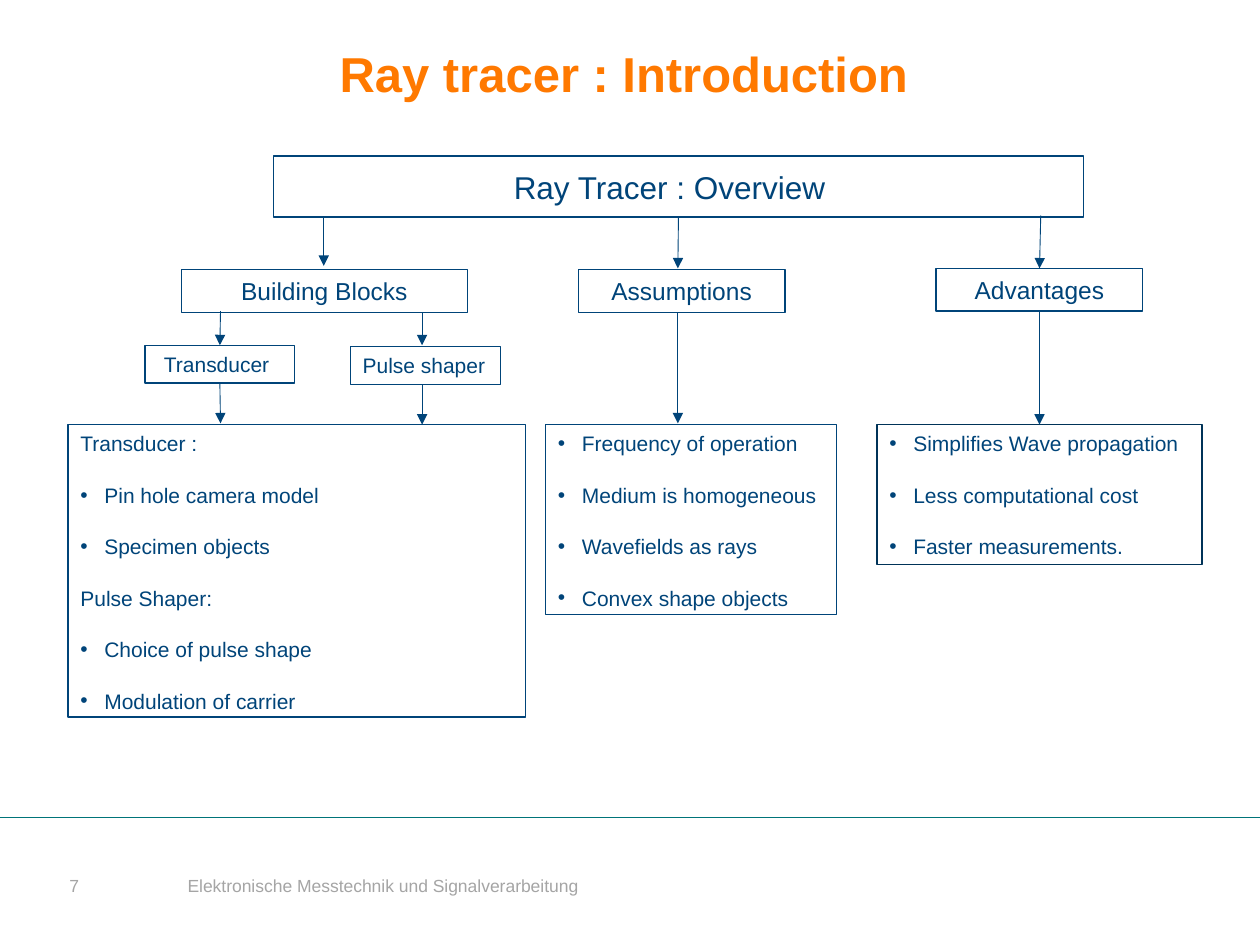
import dataclasses
import lxml.etree
import pptx
import pptx.dml.color
import pptx.enum.shapes
import pptx.enum.text
import pptx.oxml.ns
import pptx.util

Inches = pptx.util.Inches
Pt = pptx.util.Pt
Align = pptx.enum.text.PP_ALIGN
Anchor = pptx.enum.text.MSO_ANCHOR
qn = pptx.oxml.ns.qn


@dataclasses.dataclass(frozen=True)
class Theme:
    font: str = "Arial"
    navy: str = "004479"
    dark: str = "003358"
    teal: str = "007479"
    orange: str = "FF7900"
    gray: str = "A5A5A5"
    white: str = "FFFFFF"
    title: float = 28
    head: float = 18
    label: float = 14
    body: float = 12
    foot: float = 10
    gap: float = 15


def rgb(code):
    return pptx.dml.color.RGBColor.from_string(code)


def apply(target, values):
    for name, value in values.items():
        setattr(target, name, value)


class Page:
    def __init__(self, deck, theme):
        self.theme = theme
        self.slide = deck.slides.add_slide(deck.slide_layouts[5])

    def text(self, para, words, size, color, bold=False):
        run = para.add_run()
        run.text = words
        apply(run.font, {"name": self.theme.font, "size": Pt(size), "bold": bold})
        run.font.color.rgb = rgb(color)

    def title(self, words, area):
        shape = self.slide.shapes.title
        apply(shape, dict(zip(("left", "top", "width", "height"), map(Inches, area))))
        frame = shape.text_frame
        apply(frame, {"margin_left": 0, "margin_top": 0,
                      "margin_right": Inches(0.1), "margin_bottom": Inches(0.05),
                      "vertical_anchor": Anchor.TOP, "word_wrap": True,
                      "auto_size": pptx.enum.text.MSO_AUTO_SIZE.NONE})
        para = frame.paragraphs[0]
        apply(para, {"alignment": Align.CENTER, "line_spacing": 0.9})
        self.text(para, words, self.theme.title, self.theme.orange, True)

    def note(self, words, area, left=0.1):
        frame = self.slide.shapes.add_textbox(*map(Inches, area)).text_frame
        apply(frame, {"word_wrap": True, "vertical_anchor": Anchor.MIDDLE,
                      "margin_left": Inches(left)})
        self.text(frame.paragraphs[0], words, self.theme.foot, self.theme.gray)

    def frame(self, area, color, width):
        kind = pptx.enum.shapes.MSO_SHAPE.RECTANGLE
        shape = self.slide.shapes.add_shape(kind, *map(Inches, area))
        shape.shadow.inherit = False
        shape.fill.background()
        shape.line.color.rgb = rgb(color)
        shape.line.width = Pt(width)
        shape.text_frame.word_wrap = True
        return shape

    def label(self, words, area, size, align=Align.CENTER, right=0.1, width=0.75):
        shape = self.frame(area, self.theme.navy, width)
        apply(shape.text_frame, {"vertical_anchor": Anchor.MIDDLE,
                                 "margin_right": Inches(right)})
        para = shape.text_frame.paragraphs[0]
        para.alignment = align
        self.text(para, words, size, self.theme.navy)
        return shape

    def points(self, items, area, color):
        shape = self.frame(area, color, 0.75)
        frame = shape.text_frame
        frame.vertical_anchor = Anchor.TOP
        for rank, item in enumerate(items):
            para = frame.add_paragraph() if rank else frame.paragraphs[0]
            para.alignment = Align.LEFT
            if rank:
                para.space_before = Pt(self.theme.gap)
            if not item.endswith(":"):
                props = para._p.get_or_add_pPr()
                props.set("marL", str(Inches(0.19)))
                props.set("indent", str(-Inches(0.19)))
                lxml.etree.SubElement(props, qn("a:buFont"), typeface=self.theme.font)
                lxml.etree.SubElement(props, qn("a:buChar"), char="•")
            self.text(para, item, self.theme.body, self.theme.navy)
        return shape

    def line(self, start, end, color):
        kind = pptx.enum.shapes.MSO_CONNECTOR.STRAIGHT
        link = self.slide.shapes.add_connector(kind, *map(Inches, start + end))
        link.line.color.rgb = rgb(color)
        link.line.width = Pt(0.5)
        lxml.etree.SubElement(link._element.spPr, qn("a:effectLst"))
        return link

    def arrow(self, start, end, source=None, target=None):
        link = self.line(start, end, self.theme.navy)
        edge = link._element.spPr.find(qn("a:ln"))
        lxml.etree.SubElement(edge, qn("a:tailEnd"), type="triangle")
        if source:
            link.begin_connect(source, 2)
        if target:
            link.end_connect(target, 0)


def main():
    deck = pptx.Presentation()
    apply(deck, {"slide_width": Inches(10), "slide_height": Inches(7.5)})
    theme = Theme()
    page = Page(deck, theme)

    page.line((0, 6.49), (10, 6.49), theme.teal)
    page.note("7", (0.55, 6.83, 0.84, 0.4), 0)
    page.title("Ray tracer : Introduction", (0.55, 0.4, 8.9, 0.47))
    page.note("Elektronische Messtechnik und Signalverarbeitung", (1.39, 6.83, 5.18, 0.4))

    root = page.label("Ray Tracer : Overview", (2.17, 1.24, 6.43, 0.48),
                      theme.head, right=0.24, width=1)
    root.fill.solid()
    root.fill.fore_color.rgb = rgb(theme.white)
    page.label("Building Blocks", (1.44, 2.14, 2.27, 0.34), theme.label)
    page.label("Assumptions", (4.59, 2.14, 1.64, 0.34), theme.label)
    gains = page.label("Advantages", (7.43, 2.13, 1.64, 0.34), theme.label)
    probe = page.label("Transducer", (1.15, 2.74, 1.19, 0.3), theme.body, right=0.15)
    page.label("Pulse shaper", (2.78, 2.75, 1.19, 0.3), theme.body, Align.LEFT)

    page.points(["Transducer :", "Pin hole camera model", "Specimen objects",
                 "Pulse Shaper:", "Choice of pulse shape", "Modulation of carrier"],
                (0.54, 3.37, 3.63, 2.32), theme.navy)
    page.points(["Frequency of operation", "Medium is homogeneous",
                 "Wavefields as rays", "Convex shape objects"],
                (4.33, 3.37, 2.31, 1.51), theme.navy)
    merits = page.points(["Simplifies Wave propagation", "Less computational cost",
                          "Faster measurements."],
                         (6.96, 3.37, 2.58, 1.11), theme.dark)

    for start, end, source, target in (
        ((2.57, 1.72), (2.57, 2.11), None, None),
        ((5.38, 1.72), (5.38, 2.13), root, None),
        ((8.26, 1.71), (8.25, 2.13), None, gains),
        ((1.75, 2.47), (1.75, 2.74), None, probe),
        ((3.35, 2.48), (3.35, 2.74), None, None),
        ((1.75, 3.04), (1.75, 3.36), probe, None),
        ((3.35, 3.05), (3.35, 3.37), None, None),
        ((5.38, 2.48), (5.38, 3.36), None, None),
        ((8.25, 2.47), (8.25, 3.36), gains, merits),
    ):
        page.arrow(start, end, source, target)

    deck.save("out.pptx")


if __name__ == "__main__":
    main()
